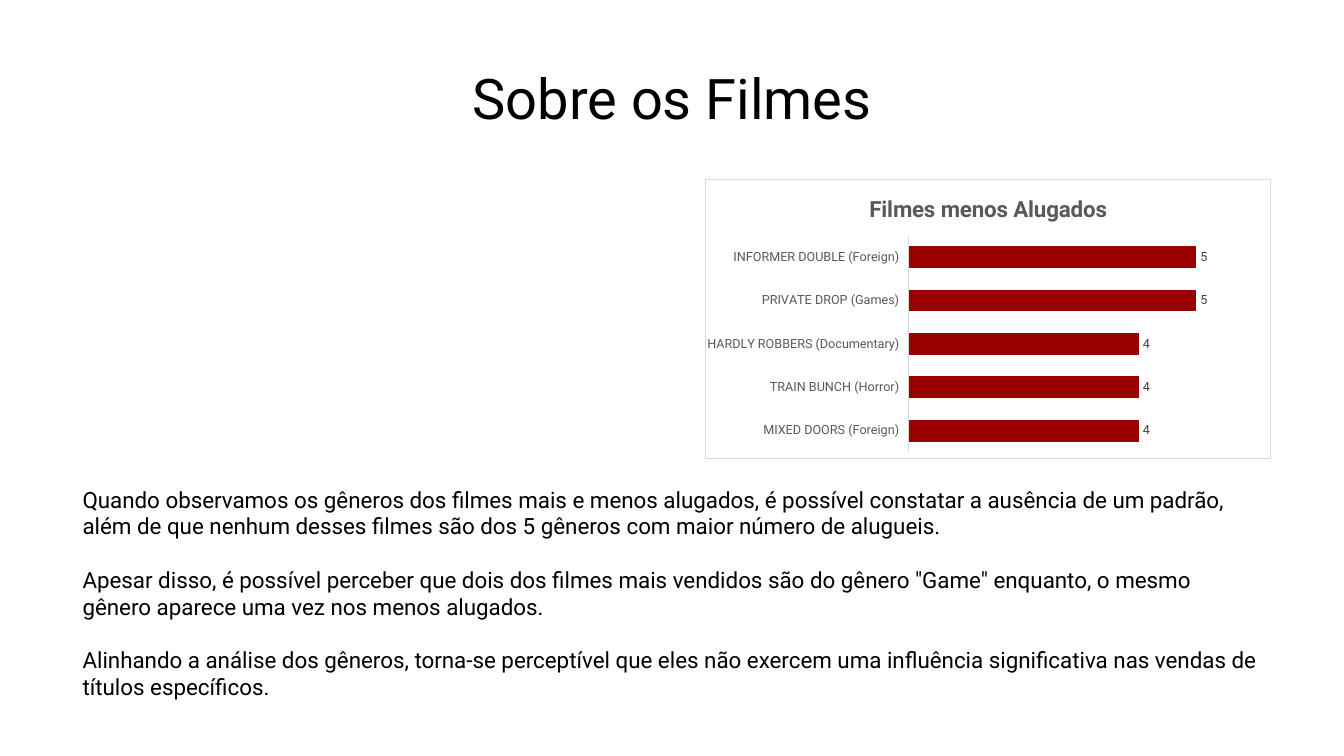
"""Build the slide about the least rented films."""
from lxml import etree
from pptx import Presentation
from pptx.chart.data import CategoryChartData
from pptx.dml.color import RGBColor
from pptx.enum.chart import XL_CHART_TYPE as ChartType, XL_LABEL_POSITION as LabelPosition
from pptx.enum.chart import XL_TICK_LABEL_POSITION as TickLabels, XL_TICK_MARK as TickMark
from pptx.enum.text import MSO_ANCHOR as Anchor, PP_ALIGN as Align
from pptx.oxml import parse_xml
from pptx.oxml.ns import nsdecls, qn
from pptx.util import Inches, Pt

FONT = "Roboto"
BLACK, GREY, DARK, PALE, RED = "000000", "595959", "404040", "D9D9D9", "990000"
WIDTH, HEIGHT = 13.33, 7.5
TITLE = "Sobre os Filmes"
CHART_TITLE = "Filmes menos Alugados"
RENTALS = [
    ("MIXED DOORS (Foreign)", 4),
    ("TRAIN BUNCH (Horror)", 4),
    ("HARDLY ROBBERS (Documentary)", 4),
    ("PRIVATE DROP (Games)", 5),
    ("INFORMER DOUBLE (Foreign)", 5),
]
FINDINGS = [
    ["Quando observamos os gêneros dos filmes mais e menos alugados, é possível "
     "constatar a ausência de um padrão,",
     "além de que nenhum desses filmes são dos 5 gêneros com maior número de alugueis."],
    ["Apesar disso, é possível perceber que dois dos filmes mais vendidos são do gênero "
     "\"Game\" enquanto, o mesmo gênero aparece uma vez nos menos alugados."],
    ["Alinhando a análise dos gêneros, torna-se perceptível que eles não exercem uma "
     "influência significativa nas vendas de títulos específicos."],
]
TITLE_AREA = (1.67, 0.48, WIDTH - 2 * 1.67, 1.06)
CHART_AREA = (6.99, 1.78, 5.62, 2.77)
TEXT_AREA = (0.72, 4.77, WIDTH - 2 * 0.72, 2.26)
PLOT_SHARE = {"x": 0.36, "y": 0.2, "w": 0.61, "h": 0.78}


def color(value):
    return RGBColor.from_string(value)


def style(font, size, value, bold=False):
    font.name, font.size, font.bold = FONT, Pt(size), bold
    font.color.rgb = color(value)


def add_box(page, area, anchor=Anchor.TOP):
    frame = page.shapes.add_textbox(*map(Inches, area)).text_frame
    frame.word_wrap = True
    frame.vertical_anchor = anchor
    return frame


def write(para, text, size):
    span = para.add_run()
    span.text = text
    style(span.font, size, BLACK)


def add_title(page):
    para = add_box(page, TITLE_AREA, Anchor.MIDDLE).paragraphs[0]
    para.alignment, para.line_spacing = Align.CENTER, 0.9
    write(para, TITLE, 40)


def add_findings(page):
    frame = add_box(page, TEXT_AREA)
    for block, lines in enumerate(FINDINGS):
        for row, line in enumerate(lines):
            first = block == row == 0
            para = frame.paragraphs[0] if first else frame.add_paragraph()
            if block and not row:
                para.space_before = Pt(19)
            write(para, line, 16)


def frame_chart(chart):
    space = chart.element
    space.find(qn("c:chart")).addnext(parse_xml(
        f'<c:spPr {nsdecls("c", "a")}><a:solidFill><a:srgbClr val="FFFFFF"/></a:solidFill>'
        f'<a:ln w="{Pt(0.75)}"><a:solidFill><a:srgbClr val="{PALE}"/></a:solidFill></a:ln>'
        '</c:spPr>'))
    area = space.find(".//" + qn("c:plotArea"))
    layout = area.find(qn("c:layout"))
    if layout is not None:
        area.remove(layout)
    layout = etree.Element(qn("c:layout"))
    area.insert(0, layout)
    manual = etree.SubElement(layout, qn("c:manualLayout"))
    settings = [("layoutTarget", "inner"), ("xMode", "edge"), ("yMode", "edge")]
    for tag, value in settings + list(PLOT_SHARE.items()):
        etree.SubElement(manual, qn("c:" + tag)).set("val", str(value))


def add_rentals(page):
    films, counts = zip(*RENTALS)
    data = CategoryChartData()
    data.categories = films
    data.add_series("Series 1", counts)
    chart = page.shapes.add_chart(ChartType.BAR_CLUSTERED, *map(Inches, CHART_AREA), data).chart
    style(chart.font, 10, BLACK)
    chart.has_legend = False
    chart.has_title = True
    span = chart.chart_title.text_frame.paragraphs[0].add_run()
    span.text = CHART_TITLE
    style(span.font, 16, GREY, True)
    chart.chart_title.include_in_layout = False

    names = chart.category_axis
    names.major_tick_mark = names.minor_tick_mark = TickMark.NONE
    names.tick_label_position = TickLabels.LOW
    style(names.tick_labels.font, 9, GREY)
    names.format.line.color.rgb = color(PALE)
    names.format.line.width = Pt(0.75)
    scale = chart.value_axis
    scale.minimum_scale, scale.maximum_scale = 0, 6
    scale.has_major_gridlines = False
    scale.visible = False

    plot = chart.plots[0]
    plot.gap_width, plot.vary_by_categories = 100, False
    bars = plot.series[0]
    bars.format.fill.solid()
    bars.format.fill.fore_color.rgb = color(RED)
    labels = bars.data_labels
    labels.show_value, labels.position = True, LabelPosition.OUTSIDE_END
    style(labels.font, 9, DARK)
    frame_chart(chart)


deck = Presentation()
deck.slide_width, deck.slide_height = Inches(WIDTH), Inches(HEIGHT)
page = deck.slides.add_slide(deck.slide_layouts[6])
add_title(page)
add_rentals(page)
add_findings(page)
deck.save("out.pptx")
